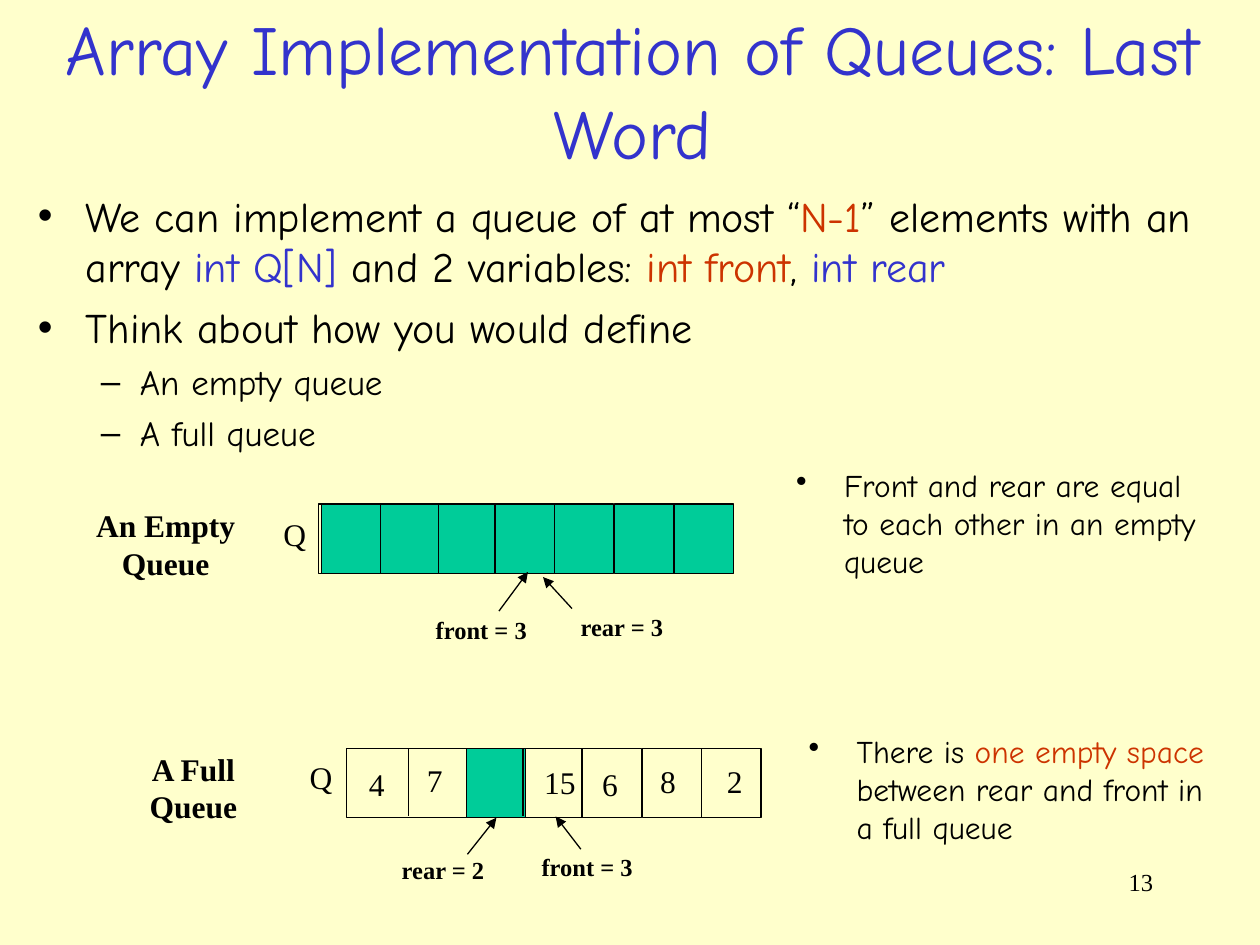
from lxml.etree import SubElement
from pptx import Presentation
from pptx.dml.color import RGBColor
from pptx.enum.shapes import MSO_CONNECTOR, MSO_SHAPE
from pptx.enum.text import MSO_ANCHOR, MSO_AUTO_SIZE, PP_ALIGN
from pptx.oxml.ns import qn
from pptx.util import Inches, Pt

HUES = {"paper": "FFFFCC", "ink": "000000", "blue": "3333CC", "red": "CC3300", "green": "00CC99"}
COMIC, TIMES = "Comic Neue", "Times New Roman"
MARKS = {"•": (0.38, 0.38), "–": (0.81, 0.31)}


def tint(name):
    return RGBColor.from_string(HUES[name])


def write(para, runs, mark=None, gap=0, align=PP_ALIGN.LEFT, **form):
    para.alignment = align
    para.space_before = Pt(gap)
    if mark:
        left, hang = MARKS[mark]
        props = para._p.get_or_add_pPr()
        props.set("marL", str(Inches(left)))
        props.set("indent", str(-Inches(hang)))
        color = SubElement(props, qn("a:buClr"))
        SubElement(color, qn("a:srgbClr"), val=HUES["ink"])
        SubElement(props, qn("a:buChar"), char=mark)
    for text, hue in runs:
        run = para.add_run()
        run.text = text
        run.font.color.rgb = tint(hue)
        for key, value in form.items():
            setattr(run.font, key, value)


deck = Presentation()
deck.slide_width, deck.slide_height = Inches(10), Inches(7.5)
slide = deck.slides.add_slide(deck.slide_layouts[1])
slide.background.fill.solid()
slide.background.fill.fore_color.rgb = tint("paper")
shapes = slide.shapes

title, body = shapes.title, slide.placeholders[1]
for holder, place, anchor in [
    (title, (0.3, 0.15, 9.44, 1.12), MSO_ANCHOR.MIDDLE),
    (body, (0.2, 1.46, 9.62, 2.33), MSO_ANCHOR.TOP),
]:
    holder.left, holder.top, holder.width, holder.height = map(Inches, place)
    form = {"auto_size": MSO_AUTO_SIZE.NONE, "vertical_anchor": anchor, "word_wrap": True}
    for key, value in form.items():
        setattr(holder.text_frame, key, value)

write(title.text_frame.paragraphs[0], [("Array Implementation of Queues: Last Word", "blue")],
      align=PP_ALIGN.CENTER, name=COMIC, size=Pt(40))

points = [
    (0, "•", 0, 24, [("We can implement a queue of at most “", "ink"), ("N-1", "red"),
                     ("” elements with an array ", "ink"), ("int Q[N]", "blue"),
                     (" and 2 variables: ", "ink"), ("int front", "red"),
                     (", ", "ink"), ("int rear", "blue")]),
    (0, "•", 6, 24, [("Think about how you would define", "ink")]),
    (1, "–", 5, 20, [("An empty queue", "ink")]),
    (1, "–", 5, 20, [("A full queue", "ink")]),
]
frame = body.text_frame
for i, (level, mark, gap, size, runs) in enumerate(points):
    para = frame.add_paragraph() if i else frame.paragraphs[0]
    para.level = level
    write(para, runs, mark, gap, name=COMIC, size=Pt(size))

edges = [2.55, 3.02, 3.48, 3.93, 4.4, 4.88, 5.35]
arrows = [(3.96, 4.85, 4.19, 4.54), (4.54, 4.83, 4.31, 4.58),
          (4.61, 6.74, 4.41, 6.48), (3.71, 6.78, 3.94, 6.49)]
lines = []
for shift, top, green, plain in [(0, 4, range(7), []), (0.22, 5.94, [2], [4, 5, 6])]:
    boxes = [(2.53, 1.87, None)]
    boxes += [(edges[i], 0.47, "green") for i in green]
    boxes += [(edges[i], 0.47, None) for i in plain]
    for left, width, hue in boxes:
        cell = shapes.add_shape(MSO_SHAPE.RECTANGLE, Inches(left + shift), Inches(top),
                                Inches(width), Inches(0.55))
        cell.shadow.inherit = False
        cell.line.color.rgb = tint("ink")
        cell.line.width = Pt(0.75)
        if hue:
            cell.fill.solid()
            cell.fill.fore_color.rgb = tint(hue)
        else:
            cell.fill.background()
    lines += [(x + shift, top, x + shift, top + 0.54) for x in edges[1:5]]

for ends in lines + arrows:
    link = shapes.add_connector(MSO_CONNECTOR.STRAIGHT, *map(Inches, ends))
    link.line.color.rgb = tint("ink")
    link.line.width = Pt(0.75)
    if ends in arrows:
        SubElement(link.line._ln, qn("a:tailEnd"), type="triangle")
    SubElement(link._element.spPr, qn("a:effectLst"))

label = {"name": TIMES, "size": Pt(18)}
bold = {**label, "bold": True}
small = {**bold, "size": Pt(14)}
page = {**label, "size": Pt(14), "align": PP_ALIGN.RIGHT}
head = {**bold, "align": PP_ALIGN.CENTER}
note = {"name": COMIC, "size": Pt(18), "mark": "•"}
texts = [
    (2.15, 4.04, 0.38, 0.4, "Q", label),
    (2.36, 5.97, 0.38, 0.4, "Q", label),
    (2.83, 6.02, 0.32, 0.4, "4", label),
    (3.29, 5.99, 0.32, 0.4, "7", label),
    (4.22, 6.01, 0.45, 0.4, "15", label),
    (4.68, 6.02, 0.32, 0.4, "6", label),
    (5.14, 6, 0.32, 0.4, "8", label),
    (5.67, 6, 0.32, 0.4, "2", label),
    (3.36, 4.83, 0.93, 0.34, "front = 3", small),
    (4.51, 4.81, 0.86, 0.34, "rear = 3", small),
    (4.2, 6.71, 0.93, 0.34, "front = 3", small),
    (3.09, 6.74, 0.86, 0.34, "rear = 2", small),
    (0.52, 3.97, 1.59, 0.7, "An Empty Queue", head),
    (0.74, 5.9, 1.59, 0.7, "A Full Queue", head),
    (6.22, 3.65, 3.38, 1.08, "Front and rear are equal to each other in an empty queue", note),
    (6.32, 5.76, 3.38, 1.08, [("There is ", "ink"), ("one empty space", "red"),
                              (" between rear and front in a full queue", "ink")], note),
    (7.17, 6.83, 2.08, 0.5, "13", page),
]
for *place, text, form in texts:
    frame = shapes.add_textbox(*map(Inches, place)).text_frame
    frame.word_wrap = form not in (label, small)
    runs = [(text, "ink")] if isinstance(text, str) else text
    write(frame.paragraphs[0], runs, **form)

deck.save("out.pptx")
